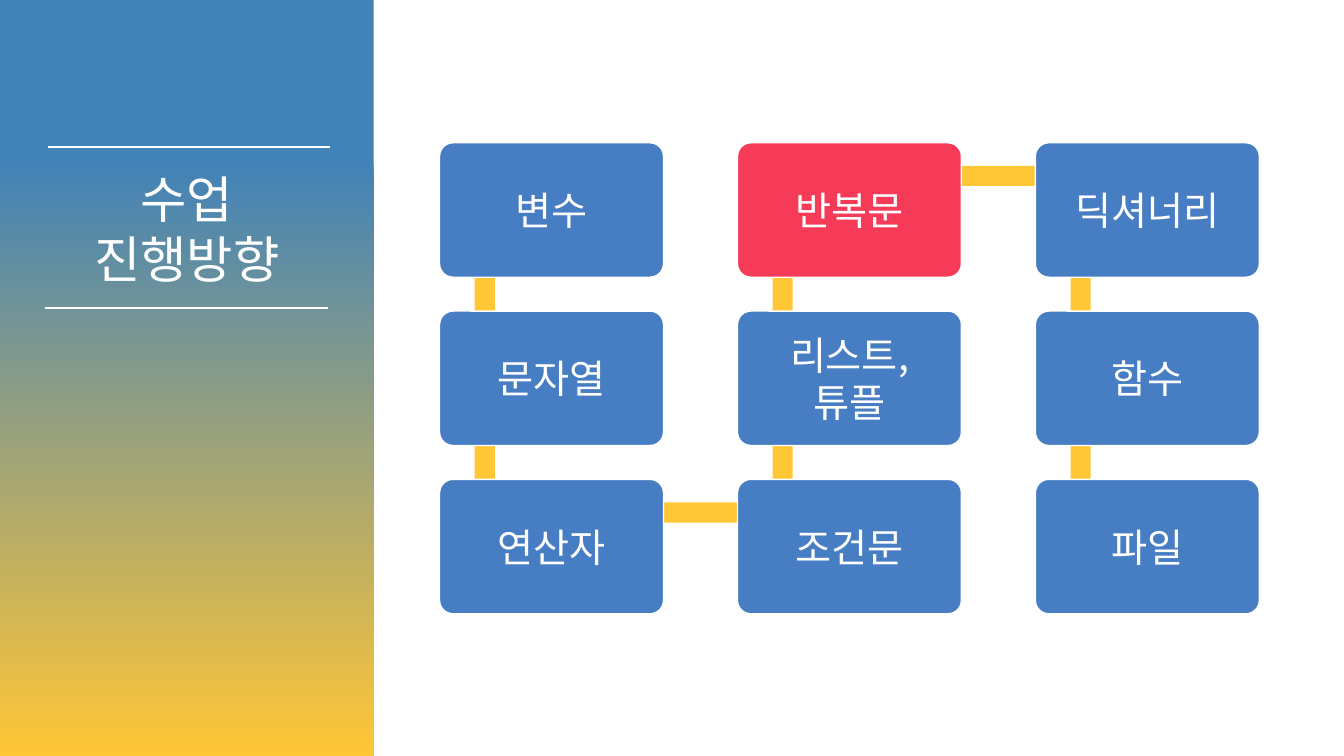
from pptx import Presentation
from pptx.dml.color import RGBColor
from pptx.enum import shapes, text
from pptx.oxml import parse_xml
from pptx.oxml.ns import nsdecls
from pptx.util import Pt

# Content
TITLE = ["수업", "진행방향"]
# Lessons in order, each with its (column, row) on the winding path
LESSONS = [
    ("변수", 0, 0), ("문자열", 0, 1), ("연산자", 0, 2),
    ("조건문", 1, 2), ("리스트,튜플", 1, 1), ("반복문", 1, 0),
    ("딕셔너리", 2, 0), ("함수", 2, 1), ("파일", 2, 2),
]
CURRENT = "반복문"
RULES = [(34, 105), (32, 220)]
COLORS = {
    "white": "FFFFFF", "panel": "4182B8", "yellow": "FFC636",
    "box": "467DC3", "current": "F53B57",
}
FONT = "Noto Sans CJK KR"

# Layout
LEFT, TOP = 314, 102
COLUMN_STEP, ROW_STEP = 212.8, 120.2
BOX_WIDTH, BOX_HEIGHT = 160, 96
ANCHOR_X, ANCHOR_Y = 32.3, 23.7
BAR = 14.4
PANEL_WIDTH, RULE_WIDTH = 267, 202


def color(name):
    return RGBColor.from_string(COLORS[name])


def corner(column, row):
    return LEFT + column * COLUMN_STEP, TOP + row * ROW_STEP


def add_block(kind, left, top, width, height, fill=None):
    shape = slide.shapes.add_shape(kind, Pt(left), Pt(top), Pt(width), Pt(height))
    shape.shadow.inherit = False
    shape.line.fill.background()
    if fill:
        shape.fill.solid()
        shape.fill.fore_color.rgb = color(fill)
    return shape


def write(paragraph, words, size):
    paragraph.alignment = text.PP_ALIGN.CENTER
    paragraph.line_spacing = 1.0
    run = paragraph.add_run()
    run.text = words
    run.font.size = Pt(size)
    run.font.name = FONT
    run.font.color.rgb = color("white")
    # Korean text takes its font from the East Asian slot
    run.font._element.append(
        parse_xml(f'<a:ea {nsdecls("a")} typeface="{FONT}"/>'))


presentation = Presentation()
presentation.slide_width, presentation.slide_height = Pt(960), Pt(540)
slide = presentation.slides.add_slide(presentation.slide_layouts[5])
title = slide.shapes.title

# Side panel, placed behind the title
panel = add_block(shapes.MSO_SHAPE.RECTANGLE, 0, 0, PANEL_WIDTH, 540)
panel.fill.gradient()
panel.fill.gradient_angle = 270
for stop, (position, name) in zip(panel.fill.gradient_stops,
                                  [(0.21, "panel"), (1, "yellow")]):
    stop.position = position
    stop.color.rgb = color(name)
title.element.addprevious(panel.element)

# Rules above and below the title
for left, top in RULES:
    rule = slide.shapes.add_connector(
        shapes.MSO_CONNECTOR.STRAIGHT, Pt(left), Pt(top), Pt(left + RULE_WIDTH), Pt(top))
    rule.line.color.rgb = color("white")
    rule.line.width = Pt(1.5)
    rule.element.spPr.append(parse_xml(f'<a:effectLst {nsdecls("a")}/>'))

# Title
title.left, title.top, title.width, title.height = Pt(0), Pt(116), Pt(PANEL_WIDTH), Pt(94)
frame = title.text_frame
frame.auto_size = text.MSO_AUTO_SIZE.NONE
frame.vertical_anchor = text.MSO_ANCHOR.MIDDLE
for index, line in enumerate(TITLE):
    write(frame.add_paragraph() if index else frame.paragraphs[0], line, 36)

# Bars joining each lesson to the next, behind the boxes
for (_, *start), (_, *end) in zip(LESSONS, LESSONS[1:]):
    (x1, y1), (x2, y2) = corner(*start), corner(*end)
    add_block(shapes.MSO_SHAPE.RECTANGLE,
              min(x1, x2) + ANCHOR_X - BAR / 2, min(y1, y2) + ANCHOR_Y - BAR / 2,
              abs(x2 - x1) + BAR, abs(y2 - y1) + BAR, "yellow")

# Lesson boxes
for name, column, row in LESSONS:
    box = add_block(shapes.MSO_SHAPE.ROUNDED_RECTANGLE, *corner(column, row),
                    BOX_WIDTH, BOX_HEIGHT, "current" if name == CURRENT else "box")
    box.adjustments[0] = 0.1
    box.line.color.rgb = color("white")
    box.line.width = Pt(1)
    frame = box.text_frame
    frame.word_wrap = True
    frame.vertical_anchor = text.MSO_ANCHOR.MIDDLE
    frame.margin_left = frame.margin_right = Pt(11)
    frame.margin_top = frame.margin_bottom = Pt(8.6)
    write(frame.paragraphs[0], name, 28)

presentation.save("out.pptx")
